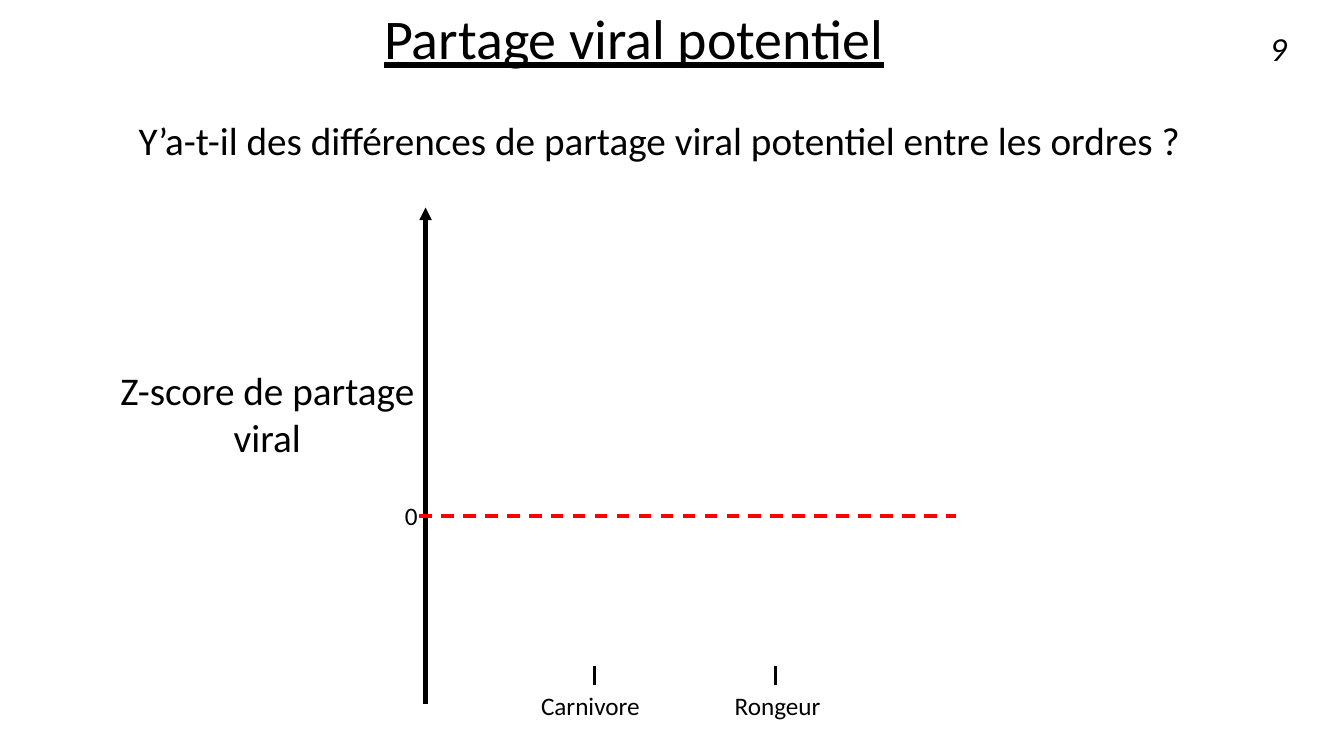
import pptx
import pptx.dml.color
import pptx.enum.dml
import pptx.enum.shapes
import pptx.enum.text
import pptx.oxml.ns
import pptx.util
from lxml import etree

Pt = pptx.util.Pt
ALIGN = pptx.enum.text.PP_ALIGN
BLACK = pptx.dml.color.RGBColor(0x00, 0x00, 0x00)
RED = pptx.dml.color.RGBColor(0xFF, 0x00, 0x00)

AXIS_X = 304
ZERO_Y = 368.6
TICK_TOP = 475.9
CATEGORY_TOP = 489.6
CATEGORY_WIDTH = 90.7


class SlideBuilder:
    font_name = "Calibri"
    color = BLACK

    def __init__(self, slide):
        self.slide = slide

    def style(self, paragraph, size, align=ALIGN.LEFT, italic=False, underline=False):
        paragraph.alignment = align
        for run in paragraph.runs:
            run.font.name = self.font_name
            run.font.size = Pt(size)
            run.font.color.rgb = self.color
            run.font.italic = italic
            run.font.underline = underline

    def text(self, text, left, top, width, height, size, align=ALIGN.LEFT, italic=False):
        shape = self.slide.shapes.add_textbox(Pt(left), Pt(top), Pt(width), Pt(height))
        shape.text_frame.word_wrap = True
        shape.text_frame.text = text
        self.style(shape.text_frame.paragraphs[0], size, align, italic)
        return shape

    def heading(self, title, question, left, top, width, height):
        """Add an underlined title with an indented question below it."""
        shape = self.text(title, left, top, width, height, 40)
        title_paragraph = shape.text_frame.paragraphs[0]
        self.style(title_paragraph, 40, ALIGN.CENTER, underline=True)
        question_paragraph = shape.text_frame.add_paragraph()
        question_paragraph.text = question
        self.style(question_paragraph, 28, ALIGN.CENTER)
        question_paragraph.space_before = Pt(36)
        question_paragraph._p.get_or_add_pPr().set("marL", str(Pt(36)))
        for paragraph in shape.text_frame.paragraphs:
            paragraph.line_spacing = 0.9

    def line(self, x1, y1, x2, y2, weight, color=BLACK, dash=None, arrow=False):
        connector = self.slide.shapes.add_connector(
            pptx.enum.shapes.MSO_CONNECTOR.STRAIGHT, Pt(x1), Pt(y1), Pt(x2), Pt(y2))
        connector.line.color.rgb = color
        connector.line.width = Pt(weight)
        if dash is not None:
            connector.line.dash_style = dash
        if arrow:
            outline = connector.line._get_or_add_ln()
            etree.SubElement(outline, pptx.oxml.ns.qn("a:tailEnd"), type="triangle")
        etree.SubElement(connector._element.spPr, pptx.oxml.ns.qn("a:effectLst"))
        return connector


def main():
    presentation = pptx.Presentation()
    presentation.slide_width = Pt(960)
    presentation.slide_height = Pt(540)
    builder = SlideBuilder(presentation.slides.add_slide(presentation.slide_layouts[6]))

    builder.line(AXIS_X, 502.6, AXIS_X, 148.3, 3, arrow=True)
    builder.text("Z-score de partage viral", 62, 257.8, 257.8, 74.9, 28, ALIGN.CENTER)
    builder.text("0", 282.2, 354.2, 17.3, 28.8, 18)
    builder.heading(
        "Partage viral potentiel",
        "Y’a-t-il des différences de partage viral potentiel entre les ordres ?",
        38.9, 4.3, 828, 141)
    builder.line(299.5, ZERO_Y, 682.6, ZERO_Y, 2.25, RED,
                 dash=pptx.enum.dml.MSO_LINE.DASH)

    categories = [("Carnivore", 379.4, 424.75), ("Rongeur", 517.7, 553.7)]
    for name, left, tick_x in categories:
        label = builder.text(name, left, CATEGORY_TOP, CATEGORY_WIDTH, 28.8, 18)
        tick = builder.line(tick_x, TICK_TOP, tick_x, CATEGORY_TOP, 2.25)
        if abs(left + CATEGORY_WIDTH / 2 - tick_x) < 0.1:
            tick.end_connect(label, 0)

    builder.text("9", 900, 16.6, 42.5, 36, 24, italic=True)
    presentation.save("out.pptx")


if __name__ == "__main__":
    main()
